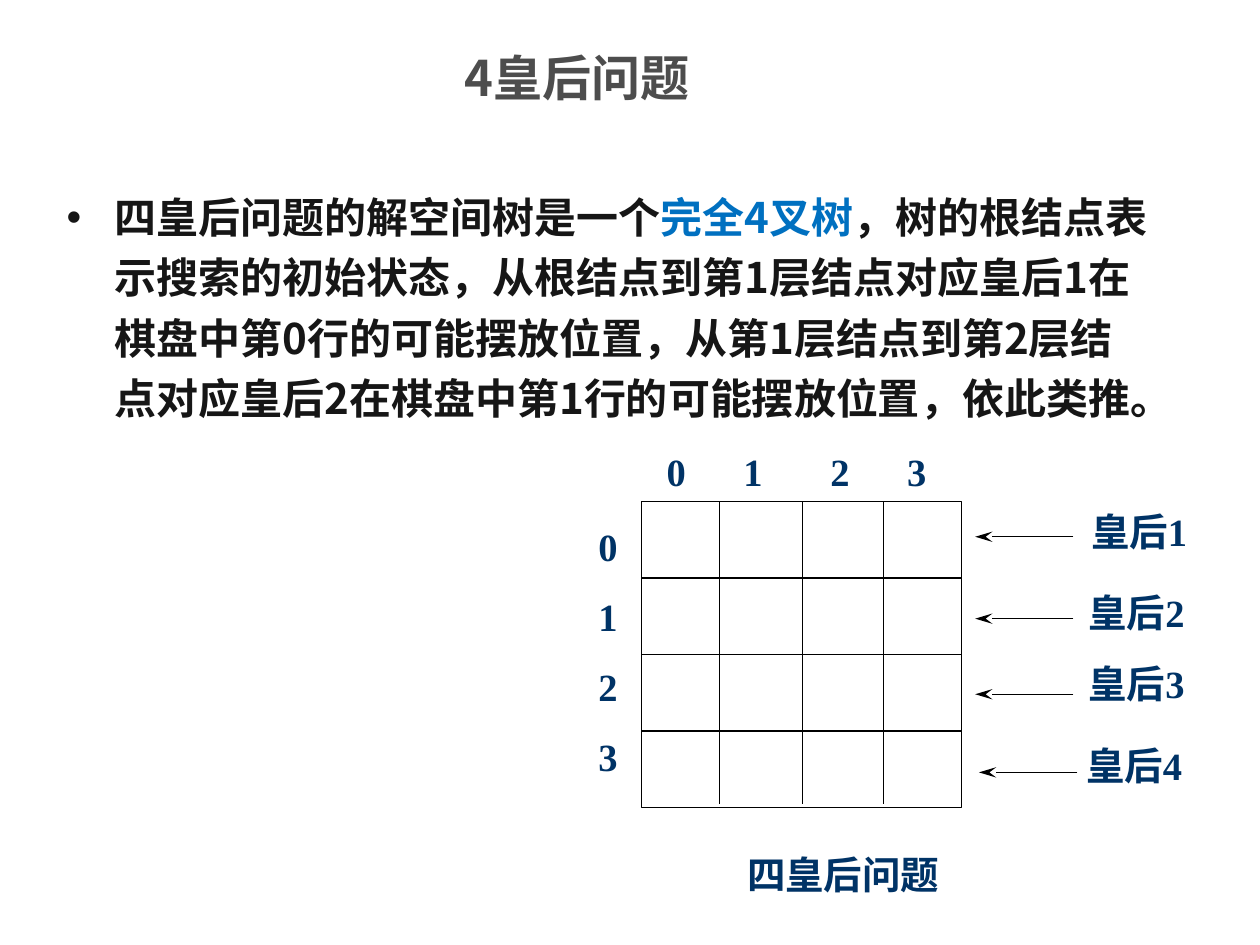
from pptx import Presentation
from pptx import util as u
from pptx.dml.color import RGBColor
from pptx.enum import shapes, text
from pptx.oxml.ns import qn
from lxml import etree

GREY = RGBColor(0x4D, 0x4D, 0x4D)
INK = RGBColor(0x16, 0x16, 0x16)
BLUE = RGBColor(0x00, 0x70, 0xC0)
NAVY = RGBColor(0x00, 0x33, 0x66)
BLACK = RGBColor(0, 0, 0)
SANS, SERIF = "Noto Sans CJK SC", "Times New Roman"


def add_box(slide, x, y, w, h, pad=0):
    box = slide.shapes.add_textbox(*map(u.Inches, (x, y, w, h)))
    frame = box.text_frame
    frame.word_wrap = True
    frame.margin_left = frame.margin_right = u.Inches(pad)
    frame.margin_top = frame.margin_bottom = u.Inches(pad / 2)
    return frame


def add_run(para, words, face, size, color):
    run = para.add_run()
    run.text = words
    font = run.font
    font.name, font.size, font.bold = face, u.Pt(size), True
    font.color.rgb = color
    east = etree.SubElement(run._r.get_or_add_rPr(), qn("a:ea"))
    east.set("typeface", SANS)


def add_label(slide, x, y, w, h, lines, space=0.96):
    frame = add_box(slide, x, y, w, h)
    for i, line in enumerate(lines):
        para = frame.add_paragraph() if i else frame.paragraphs[0]
        para.line_spacing = space
        add_run(para, line, SERIF, 22, NAVY)


def add_line(slide, x1, y1, x2, y2, arrow=False):
    line = slide.shapes.add_connector(
        shapes.MSO_CONNECTOR.STRAIGHT, *map(u.Inches, (x1, y1, x2, y2)))
    line.line.color.rgb = BLACK
    line.line.width = u.Pt(0.75)
    if arrow:
        tail = etree.SubElement(line.line._get_or_add_ln(), qn("a:tailEnd"))
        tail.set("type", "stealth")
        tail.set("w", "med")
        tail.set("len", "lg")
    etree.SubElement(line._element.spPr, qn("a:effectLst"))


def add_title(slide, x, y, w, h):
    para = add_box(slide, x, y, w, h, 0.1).paragraphs[0]
    para.alignment = text.PP_ALIGN.CENTER
    add_run(para, "4皇后问题", SANS, 28, GREY)


def add_body(slide, x, y, w, h):
    para = add_box(slide, x, y, w, h, 0.1).paragraphs[0]
    para.line_spacing = 1.2
    para.space_before = u.Pt(12)
    props = para._p.get_or_add_pPr()
    props.set("marL", str(u.Inches(0.38)))
    props.set("indent", str(-u.Inches(0.38)))
    etree.SubElement(props, qn("a:buFont")).set("typeface", "Arial")
    etree.SubElement(props, qn("a:buChar")).set("char", "•")
    for words, color in (
        ("四皇后问题的解空间树是一个", INK),
        ("完全4叉树", BLUE),
        ("，树的根结点表示搜索的初始状态，从根结点到第1层结点对应皇后1"
         "在棋盘中第0行的可能摆放位置，从第1层结点到第2层结点对应皇后2"
         "在棋盘中第1行的可能摆放位置，依此类推。", INK),
    ):
        add_run(para, words, SANS, 24, color)


def add_board(slide, x, y, w, h):
    # Frame and inner lines
    frame = slide.shapes.add_shape(
        shapes.MSO_SHAPE.RECTANGLE, *map(u.Inches, (x, y, w, h)))
    frame.shadow.inherit = False
    frame.fill.background()
    frame.line.color.rgb = BLACK
    frame.line.width = u.Pt(0.75)
    for across in (0.62, 1.28, 1.92):
        add_line(slide, x + across, y, x + across, y + 2.4)
    for i in range(1, 4):
        down = y + h * i / 4
        add_line(slide, x, down, x + w, down)

    # Column and row numbers
    for across in (0.2, 0.81, 1.5, 2.11):
        digit = str(round((across - 0.2) / 0.64))
        add_label(slide, x + across, y - 0.4, 0.3, 0.33, [digit])
    add_label(slide, x - 0.34, y - 0.02, 0.3, 2.37, "0123", 1.52)

    # Queens, each with an arrow to its row
    queens = ((0.28, 0.08, 0.04), (0.93, 0.72, 0.02),
              (1.53, 1.28, 0.02), (2.15, 1.93, 0))
    for i, (tip, top, shift) in enumerate(queens, 1):
        start = x + (3.46 if i == 4 else 3.43)
        add_line(slide, start, y + tip, start - 0.78, y + tip, True)
        add_label(slide, x + 3.53 + shift, y + top, 1.06, 0.36, [f"皇后{i}"])

    # Caption
    add_label(slide, x + 0.84, y + 2.8, 2.7, 0.39, ["四皇后问题"])


def main():
    deck = Presentation()
    deck.slide_width, deck.slide_height = u.Inches(10), u.Inches(7.5)
    slide = deck.slides.add_slide(deck.slide_layouts[6])
    add_title(slide, 0.33, 0.33, 8.5, 0.83)
    add_body(slide, 0.43, 1.39, 8.82, 2.67)
    add_board(slide, 5.09, 3.98, 2.54, 2.43)
    deck.save("out.pptx")


if __name__ == "__main__":
    main()
